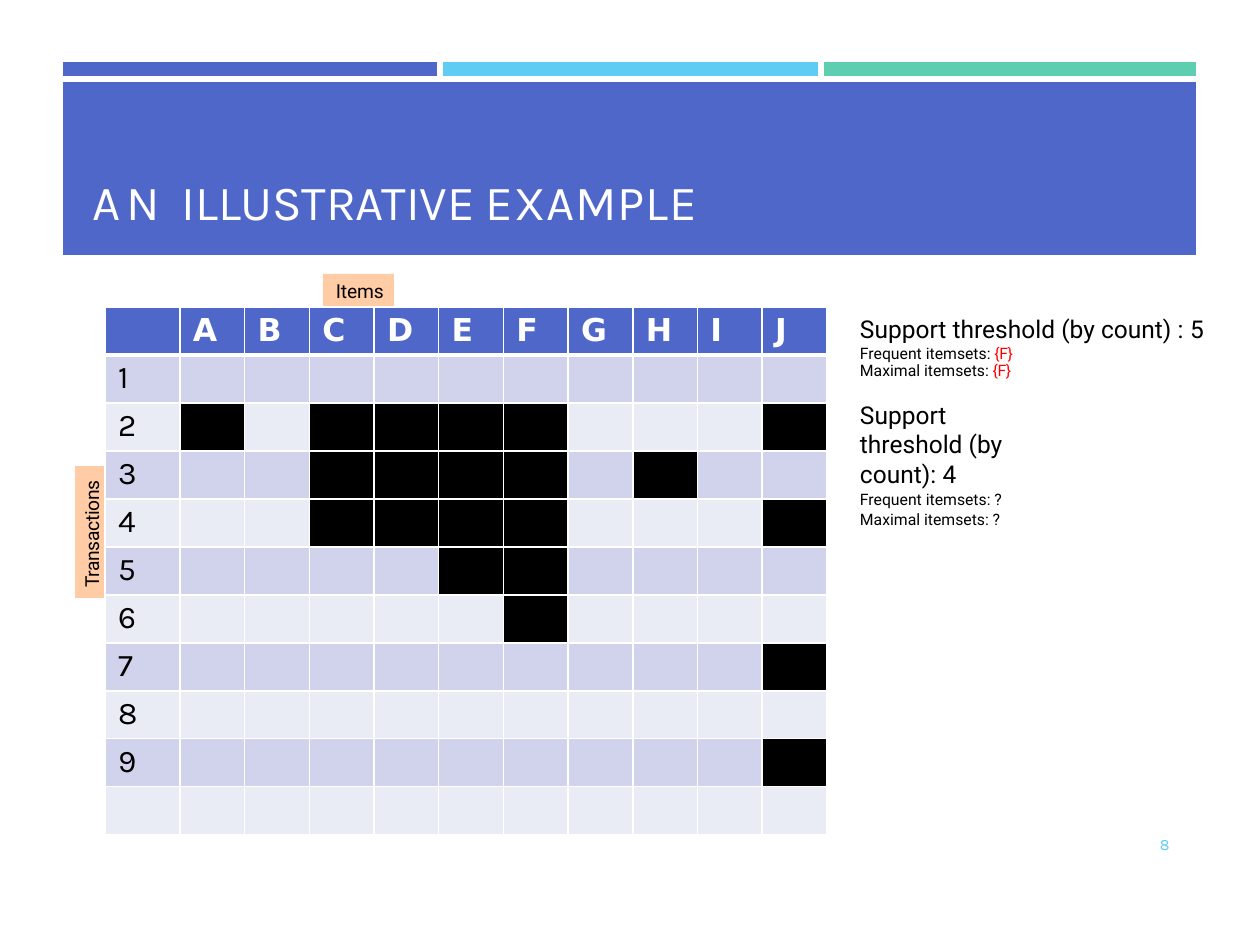
from lxml.etree import SubElement
from pptx import Presentation
from pptx.dml.color import RGBColor
from pptx.enum.shapes import MSO_SHAPE
from pptx.enum.text import MSO_ANCHOR
from pptx.oxml import parse_xml
from pptx.oxml.ns import nsdecls, qn
from pptx.util import Pt

EMU_PER_PX = 914400 / 126
BLUE, SKY, GREEN, PEACH = "4E67C8", "5ECCF3", "5DCEAF", "FFCCA6"
WHITE, BLACK, RED = "FFFFFF", "000000", "FF0000"
BANDS = ("E9EBF5", "D0D3EB")
ITEMS = "ABCDEFGHIJ"
TRANSACTIONS = ["", "ACDEFJ", "CDEFH", "CDEFJ", "EF", "F", "J", "", "J"]


def px(n):
    """Turn pixels into EMU."""
    return round(n * EMU_PER_PX)


def color(value):
    """Turn a hex string into a colour."""
    return RGBColor.from_string(value)


def write(p, text, size=11, font="Roboto", fill=BLACK, bold=False, spacing=0):
    """Add a formatted run to a paragraph."""
    r = p.add_run()
    r.text = text
    r.font.size, r.font.name, r.font.bold = Pt(size), font, bold
    r.font.color.rgb = color(fill)
    if spacing:
        r._r.get_or_add_rPr().set("spc", str(round(spacing * 100)))


def add_box(s, left, top, width, height, inset=(0, 0)):
    """Add a wrapping text box and return its text frame."""
    tf = s.shapes.add_textbox(px(left), px(top), px(width), px(height)).text_frame
    set_insets(tf, *inset)
    return tf


def set_insets(tf, left, top):
    """Wrap a text frame and set its insets."""
    tf.word_wrap = True
    tf.vertical_anchor = MSO_ANCHOR.TOP
    tf.margin_left, tf.margin_top = px(left), px(top)
    tf.margin_right = tf.margin_bottom = 0


def add_label(s, left, top, width, height):
    """Add a peach rectangle."""
    sp = s.shapes.add_shape(MSO_SHAPE.RECTANGLE, px(left), px(top), px(width), px(height))
    sp.shadow.inherit = False
    sp.fill.solid()
    sp.fill.fore_color.rgb = color(PEACH)
    sp.line.fill.background()
    return sp


def add_grid(s, left, top, widths, heights):
    """Add a table without style bands from EMU column and row sizes."""
    table = s.shapes.add_table(len(heights), len(widths), px(left), px(top),
                               sum(widths), sum(heights)).table
    table.first_row = table.horz_banding = False
    for column, width in zip(table.columns, widths):
        column.width = width
    for row, height in zip(table.rows, heights):
        row.height = height
    return table


def style_cell(cell, fill, borders, left=0, top=0, bottom=0):
    """Set a cell's fill, insets and white borders given as side to points."""
    cell.fill.solid()
    cell.fill.fore_color.rgb = color(fill)
    cell.margin_left, cell.margin_top = px(left), px(top)
    cell.margin_right, cell.margin_bottom = 0, px(bottom)
    sides = [side for side in "LRTB" if side in borders]
    for i, side in enumerate(sides):
        cell._tc.get_or_add_tcPr().insert(i, parse_xml(
            f'<a:ln{side} {nsdecls("a")} w="{Pt(borders[side])}"><a:solidFill>'
            f'<a:srgbClr val="{WHITE}"/></a:solidFill></a:ln{side}>'))


def add_title(s):
    """Add the colour bands with the title below them."""
    table = add_grid(s, 62, 61, [px(w) for w in (378, 381, 376)], [px(18), px(177)])
    for i, (fill, sides) in enumerate(((BLUE, "RB"), (SKY, "LRB"), (GREEN, "LB"))):
        cell = table.cell(0, i)
        style_cell(cell, fill, dict.fromkeys(sides, 4.5))
        SubElement(cell.text_frame.paragraphs[0]._p, qn("a:endParaRPr")).set("sz", "200")
        style_cell(table.cell(1, i), BLUE, {"T": 4.5}, left=31, bottom=23)
    title = table.cell(1, 0)
    title.merge(table.cell(1, 2))
    title.vertical_anchor = MSO_ANCHOR.BOTTOM
    p = title.text_frame.paragraphs[0]
    for text, spacing in (("AN ", 3), ("ILLUSTRATIVE ", -0.1), ("EXAMPLE", 0.5)):
        write(p, text, size=28, font="Karla", fill=WHITE, spacing=spacing)


def add_matrix(s):
    """Add the transaction by item table."""
    widths = [px(75)] + [px(647) // 10] * len(ITEMS)
    table = add_grid(s, 105, 307, widths, [px(48)] * (len(TRANSACTIONS) + 2))
    for row in range(len(table.rows)):
        bought = TRANSACTIONS[row - 1] if 0 < row <= len(TRANSACTIONS) else ""
        borders = {"L": 1, "R": 1, "T": 3 if row == 1 else 1, "B": 3 if row == 0 else 1}
        for col, item in enumerate(" " + ITEMS):
            cell = table.cell(row, col)
            fill = BLUE if row == 0 else BLACK if item in bought else BANDS[row % 2]
            style_cell(cell, fill, borders, left=13, top=5)
            p = cell.text_frame.paragraphs[0]
            if row == 0 and col:
                write(p, item, size=18, font="DejaVu Sans", fill=WHITE, bold=True)
            elif col == 0 and 0 < row <= len(TRANSACTIONS):
                write(p, str(row), size=18, font="Karla")


def add_labels(s):
    """Add the axis labels of the matrix."""
    tf = add_label(s, 323, 274, 71, 34).text_frame
    set_insets(tf, 13, 5)
    p = tf.paragraphs[0]
    p.alignment = 1
    write(p, "Items", spacing=-0.1)
    add_label(s, 75, 466, 29, 132)
    tf = add_box(s, 79, 479, 25, 109, (1, 0))
    tf._txBody.bodyPr.set("vert", "vert270")
    p = tf.paragraphs[0]
    p.line_spacing = Pt(13.2)
    write(p, "Transactions", spacing=-0.2)


def add_thresholds(s):
    """Add the itemset findings for each support threshold."""
    tf = add_box(s, 859, 312, 345, 158, (1, 2))
    findings = (("Support threshold (by count) : ", "5", "{F}", RED, 10.1, 0),
                ("Support threshold (by count): ", "4", "?", BLACK, 11, 185))
    for i, (heading, count, answer, fill, leading, indent) in enumerate(findings):
        p = tf.add_paragraph() if i else tf.paragraphs[0]
        if i:
            p.space_before = Pt(11.4)
        p._p.get_or_add_pPr().set("marR", str(px(indent)))
        write(p, heading, size=14)
        write(p, count, size=14, spacing=-0.5)
        p = tf.add_paragraph()
        p.line_spacing, p.space_before = Pt(leading), Pt(0.8)
        p._p.get_or_add_pPr().set("marR", str(px(185)))
        for kind in ("Frequent", " Maximal"):
            write(p, f"{kind} itemsets: ", size=9)
            write(p, answer, size=9, fill=fill, spacing=-0.2)


def main():
    """Build the slide and save it."""
    prs = Presentation()
    prs.slide_width, prs.slide_height = px(1260), px(945)
    s = prs.slides.add_slide(prs.slide_layouts[6])
    add_title(s)
    add_thresholds(s)
    add_labels(s)
    write(add_box(s, 1159, 835, 12, 22, (1, 0)).paragraphs[0], "8",
          size=9, font="Karla", fill=SKY)
    add_matrix(s)
    prs.save("out.pptx")


if __name__ == "__main__":
    main()
